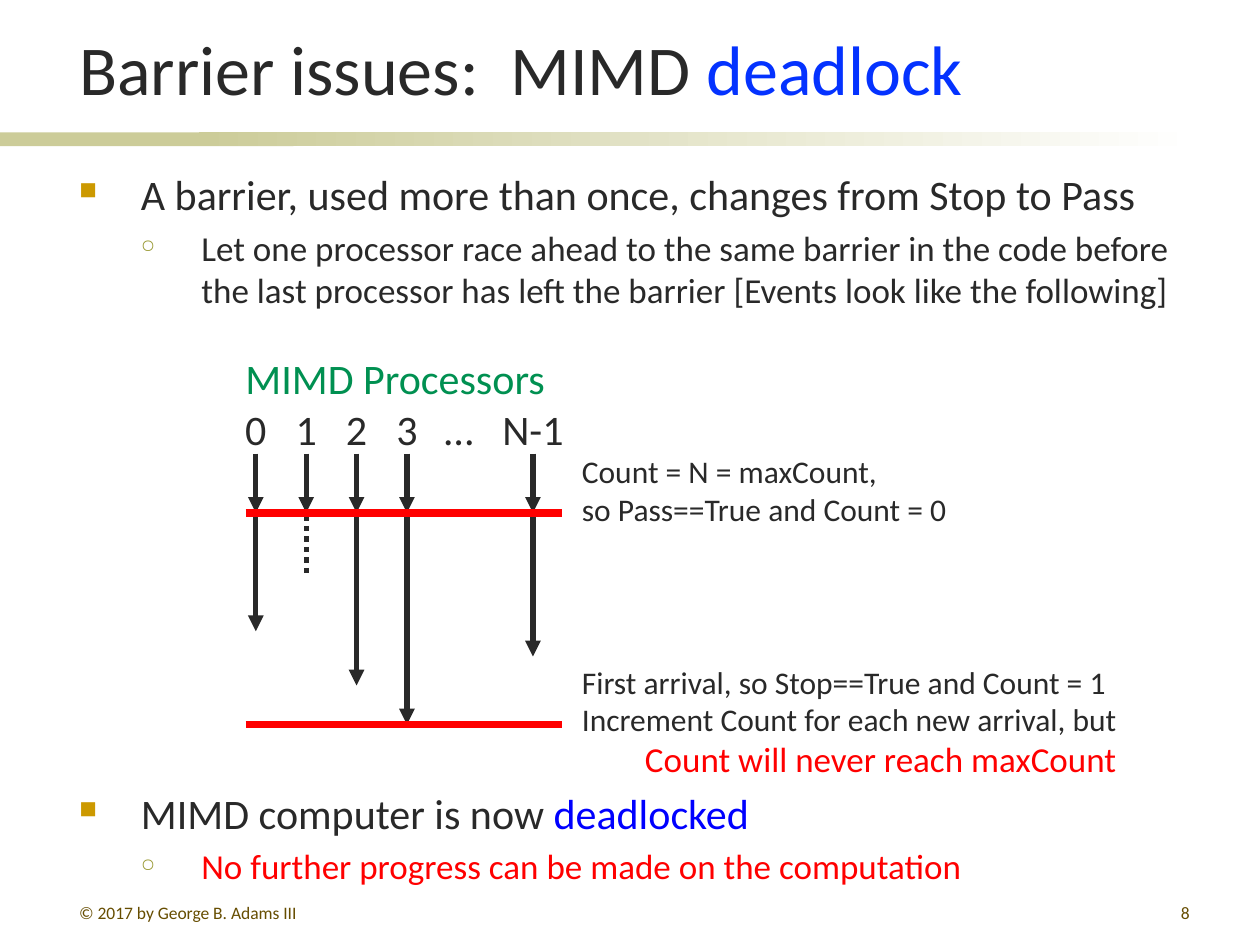
from lxml import etree
from pptx import Presentation
from pptx.dml.color import RGBColor
from pptx.enum.dml import MSO_LINE
from pptx.enum.shapes import MSO_CONNECTOR, MSO_SHAPE
from pptx.enum.text import MSO_ANCHOR, PP_ALIGN
from pptx.oxml.ns import qn
from pptx.util import Inches, Pt

STRAIGHT = MSO_CONNECTOR.STRAIGHT
RECT = MSO_SHAPE.RECTANGLE
DOTTED = MSO_LINE.ROUND_DOT
TOP, BOTTOM = MSO_ANCHOR.TOP, MSO_ANCHOR.BOTTOM
LEFT, CENTER, RIGHT = PP_ALIGN.LEFT, PP_ALIGN.CENTER, PP_ALIGN.RIGHT

W, H = 10, 7.5
INK, RED, GREEN, SAND, BROWN = "292929", "FF0000", "009051", "CCCC99", "664D00"
MARGIN, CONTENT_W = 0.53, 9.01

TITLE = [("Barrier issues:  MIMD ", INK), ("deadlock", "0432FF")]
SQUARE = dict(size=24, margin=0.49, indent=-0.49, before=4.8, bullet=("■", "CC9900", 58))
CIRCLE = dict(size=20, margin=0.97, indent=-0.48, before=4, bullet=("○", "999933", 52))
BODY = [
    ([("A barrier, used more than once, changes from Stop to Pass", INK)], SQUARE),
    ([("Let one processor race ahead to the same barrier in the code before the last "
       "processor has left the barrier [Events look like the following]", INK)], CIRCLE),
    ([("Count will never reach maxCount", RED)], dict(size=20, margin=4.49, before=244)),
    ([("MIMD computer is now ", INK), ("deadlocked", "0000FF")], SQUARE),
    ([("No further progress can be made on the computation", RED)], CIRCLE),
]
FOOTERS = [("© 2017 by George B. Adams III", MARGIN, 2.17, LEFT), ("8", 7.46, 2.08, RIGHT)]

PITCH = 0.4
FIRST_X = 2.03
LABEL_W = 0.8
PROCESSORS = [("0", 0), ("1", 1), ("2", 2), ("3", 3), ("…", 4.03), ("N-1", 5.5)]
BARRIERS = [4.07, 5.75]
BARRIER_X = (1.95, 4.46)
START_Y = 3.6
RUNS = [(0, 5.01, True), (1, 4.56, False), (2, 5.44, True), (3, 5.75, True), (5.5, 5.21, True)]
NOTES = [
    (["Count = N = maxCount,", "so Pass==True and Count = 0"], 3.54, 3.13),
    (["First arrival, so Stop==True and Count = 1",
      "Increment Count for each new arrival, but"], 5.21, 4.5),
]


def rgb(color):
    return RGBColor.from_string(color)


def column_x(column):
    return FIRST_X + column * PITCH


def add_paragraph(tf, runs, size=18, align=LEFT, before=0, margin=0, indent=0, bullet=None):
    p = tf.paragraphs[0] if not tf.paragraphs[0].runs else tf.add_paragraph()
    p.alignment, p.space_before = align, Pt(before)
    for text, color in runs:
        r = p.add_run()
        r.text = text
        r.font.size, r.font.name, r.font.color.rgb = Pt(size), "Calibri", rgb(color)
    pPr = p._p.get_or_add_pPr()
    pPr.set("marL", str(Inches(margin)))
    pPr.set("indent", str(Inches(indent)))
    if bullet:
        char, color, percent = bullet
        clr = etree.SubElement(pPr, qn("a:buClr"))
        etree.SubElement(clr, qn("a:srgbClr"), val=color)
        etree.SubElement(pPr, qn("a:buSzPct"), val=str(percent * 1000))
        etree.SubElement(pPr, qn("a:buChar"), char=char)


def add_box(s, x, y, w, h, wrap=True):
    tf = s.shapes.add_textbox(*map(Inches, (x, y, w, h))).text_frame
    tf.word_wrap, tf.vertical_anchor = wrap, TOP
    return tf


def add_line(s, x1, y1, x2, y2, color=INK, width=3, arrow=False, dash=None):
    c = s.shapes.add_connector(STRAIGHT, *map(Inches, (x1, y1, x2, y2)))
    c.line.color.rgb, c.line.width = rgb(color), Pt(width)
    if dash:
        c.line.dash_style = dash
    if arrow:
        etree.SubElement(c.line._get_or_add_ln(), qn("a:tailEnd"), type="triangle")
    etree.SubElement(c._element.spPr, qn("a:effectLst"))


def add_bar(s, x, w):
    sp = s.shapes.add_shape(RECT, *map(Inches, (x, 1.05, w, 0.11)))
    sp.shadow.inherit = False
    sp.line.fill.background()
    return sp.fill


def add_header(s):
    fill = add_bar(s, 0, 2.33)
    fill.solid()
    fill.fore_color.rgb = rgb(SAND)
    fill = add_bar(s, 1.58, 7.92)
    fill.gradient()
    fill.gradient_angle = 0
    for stop, color in zip(fill.gradient_stops, (SAND, "FFFFFF")):
        stop.color.rgb = rgb(color)
    title = s.shapes.title
    title.left, title.top, title.width, title.height = map(Inches, (MARGIN, 0.11, CONTENT_W, 0.81))
    title.text_frame.vertical_anchor = BOTTOM
    add_paragraph(title.text_frame, TITLE, size=40)


def add_diagram(s):
    tf = add_box(s, 1.85, 2.75, 2.74, 0.5)
    add_paragraph(tf, [("MIMD Processors", GREEN)], size=24)
    for label, column in PROCESSORS:
        tf = add_box(s, column_x(column) - LABEL_W / 2, 3.15, LABEL_W, 0.5)
        add_paragraph(tf, [(label, INK)], size=24, align=CENTER)
    for column, end, moving in RUNS:
        x = column_x(column)
        add_line(s, x, START_Y, x, BARRIERS[0], arrow=True)
        add_line(s, x, BARRIERS[0] + 0.02, x, end, arrow=moving, dash=None if moving else DOTTED)
    for y in BARRIERS:
        add_line(s, BARRIER_X[0], y, BARRIER_X[1], y, color=RED, width=4.5)
    for lines, y, w in NOTES:
        tf = add_box(s, 4.52, y, w, 0.71, wrap=False)
        for line in lines:
            add_paragraph(tf, [(line, INK)])


def main():
    prs = Presentation()
    prs.slide_width, prs.slide_height = Inches(W), Inches(H)
    s = prs.slides.add_slide(prs.slide_layouts[5])
    add_header(s)
    tf = add_box(s, MARGIN, 1.29, CONTENT_W, 5.73)
    for runs, style in BODY:
        add_paragraph(tf, runs, **style)
    for text, x, w, align in FOOTERS:
        add_paragraph(add_box(s, x, 7.11, w, 0.21), [(text, BROWN)], size=10, align=align)
    add_diagram(s)
    prs.save("out.pptx")


if __name__ == "__main__":
    main()
